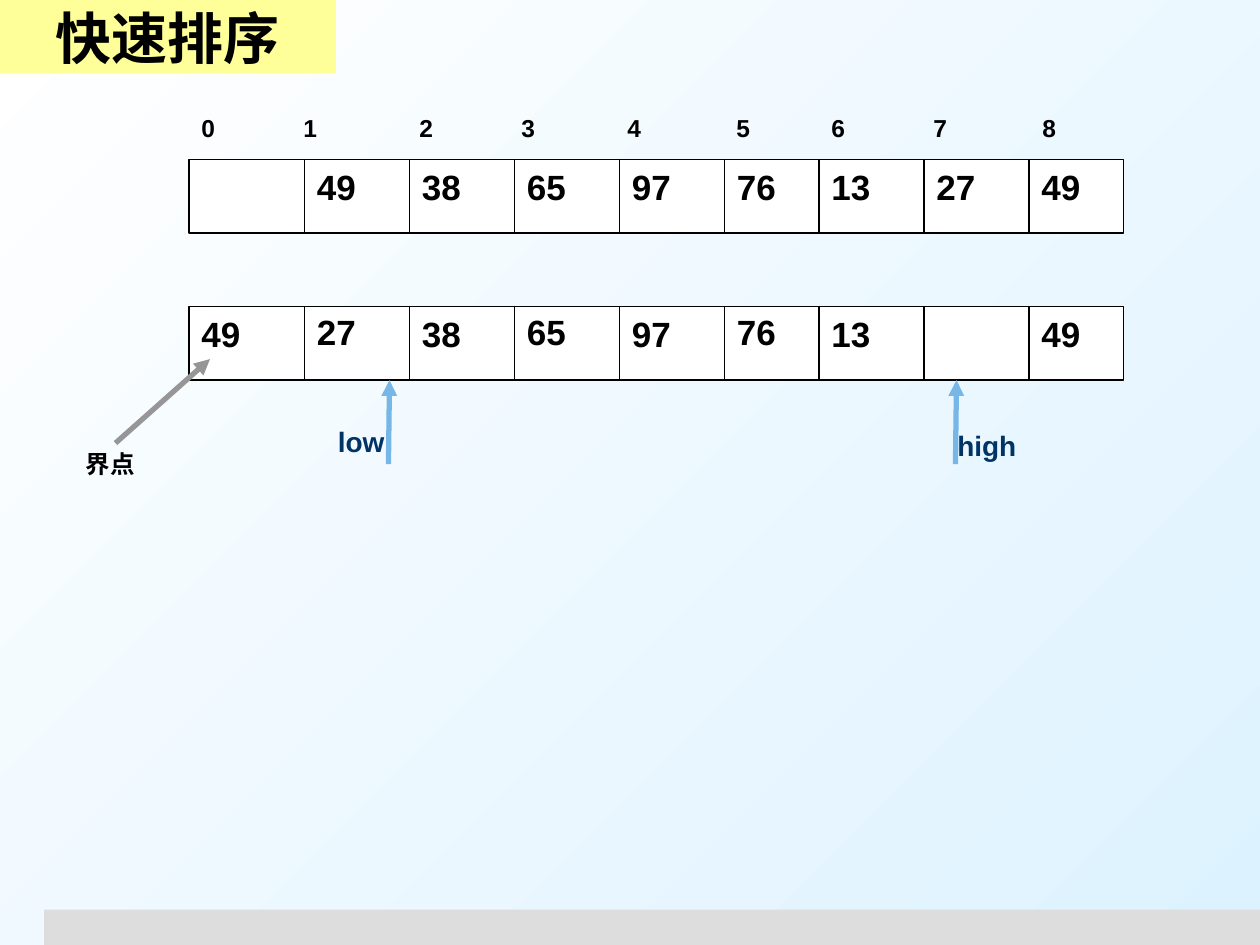
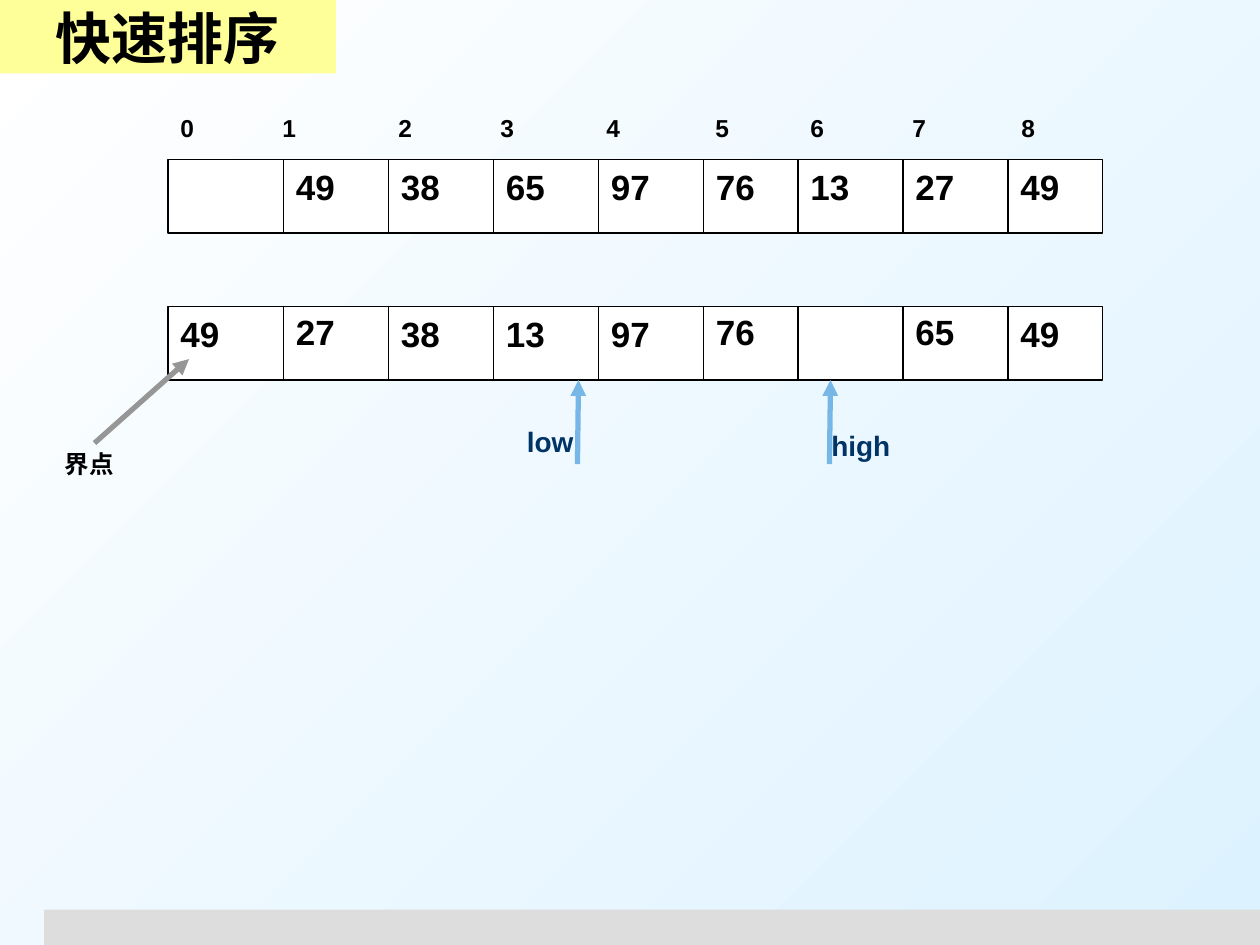
from itertools import accumulate

from lxml.etree import SubElement
from pptx import Presentation
from pptx.dml.color import RGBColor
from pptx.enum.shapes import MSO_CONNECTOR, MSO_SHAPE
from pptx.enum.text import MSO_ANCHOR, PP_ALIGN
from pptx.oxml.ns import qn
from pptx.util import Pt

FONT = "Arial"
BLACK, WHITE, NAVY = "000000", "FFFFFF", "003366"
BLUE, GREY, SILVER, YELLOW, SKY = "77B7E7", "969696", "DDDDDD", "FFFF99", "DDF2FF"

CELL_WIDTHS = [66, 60, 60, 60, 60, 54, 60, 60, 54]
CELL_LEFTS = [0, *accumulate(CELL_WIDTHS)][:-1]
ARRAY_WIDTH, ARRAY_HEIGHT = sum(CELL_WIDTHS), 42
START_TOP, STEP_TOP = 91.2, 175.2
STEP_BOTTOM = STEP_TOP + ARRAY_HEIGHT
INDEX_TABS = [58.3, 124.6, 182.9, 243.4, 305.7, 360, 418.3, 480.6]
START = ["", "49", "38", "65", "97", "76", "13", "27", "49"]
RAISED = {"27", "65", "76"}  # these sit slightly higher in the lower array

# left edge of the arrays, lower array, low index, high index
STEPS = [
    (108, ["49", "27", "38", "65", "97", "76", "13", "", "49"], 1, 7),
    (96, ["49", "27", "38", "13", "97", "76", "", "65", "49"], 3, 6),
]


def add_text(s, text, x, y, w, h, size, color=BLACK):
    tf = s.shapes.add_textbox(Pt(x), Pt(y), Pt(w), Pt(h)).text_frame
    tf.word_wrap = True
    tf.text = text
    p = tf.paragraphs[0]
    font = p.runs[0].font
    font.name, font.size, font.bold = FONT, Pt(size), True
    font.color.rgb = RGBColor.from_string(color)
    return p


def add_line(s, x1, y1, x2, y2, color=BLACK, width=0.75, arrow=False):
    line = s.shapes.add_connector(MSO_CONNECTOR.STRAIGHT, Pt(x1), Pt(y1), Pt(x2), Pt(y2))
    line.line.color.rgb = RGBColor.from_string(color)
    line.line.width = Pt(width)
    if arrow:
        SubElement(line.line._get_or_add_ln(), qn("a:tailEnd"), type="triangle")
    SubElement(line._element.spPr, qn("a:effectLst"))


prs = Presentation()
prs.slide_width, prs.slide_height = Pt(720), Pt(540)

fill = prs.slide_master.background.fill
fill.gradient()
fill.gradient_angle = 315
for stop, color in zip(fill.gradient_stops, (WHITE, SKY)):
    stop.color.rgb = RGBColor.from_string(color)

for left, step, low, high in STEPS:
    s = prs.slides.add_slide(prs.slide_layouts[6])

    # Footer band, the two arrays and the title band
    for x, y, w, h, color, outlined, text in [
        (25.2, 519.8, 694.8, 20.2, SILVER, False, ""),
        (left, STEP_TOP, ARRAY_WIDTH, ARRAY_HEIGHT, WHITE, True, ""),
        (left, START_TOP, ARRAY_WIDTH, ARRAY_HEIGHT, WHITE, True, ""),
        (0, 0, 192, 42, YELLOW, False, "快速排序"),
    ]:
        sp = s.shapes.add_shape(MSO_SHAPE.RECTANGLE, Pt(x), Pt(y), Pt(w), Pt(h))
        sp.shadow.inherit = False
        sp.fill.solid()
        sp.fill.fore_color.rgb = RGBColor.from_string(color)
        if outlined:
            sp.line.color.rgb = RGBColor.from_string(BLACK)
            sp.line.width = Pt(0.75)
        else:
            sp.line.fill.background()
        if text:
            tf = sp.text_frame
            tf.text = text
            tf.vertical_anchor = MSO_ANCHOR.MIDDLE
            p = tf.paragraphs[0]
            p.alignment = PP_ALIGN.CENTER
            font = p.runs[0].font
            font.name, font.size, font.bold = FONT, Pt(32), True
            font.color.rgb = RGBColor.from_string(BLACK)

    # Cell dividers and values
    for top, values in ((START_TOP, START), (STEP_TOP, step)):
        for offset, value in zip(CELL_LEFTS, values):
            x = left + offset
            if offset:
                add_line(s, x, top, x, top + ARRAY_HEIGHT)
            if value:
                lift = 1.2 if top == STEP_TOP and value in RAISED else 0
                add_text(s, value, x, top - lift, 48, 31, 20)

    # Indices above the arrays, set on tab stops
    p = add_text(s, "\t".join(str(i) for i in range(9)), left, 61.2, ARRAY_WIDTH, 24, 14)
    tabs = SubElement(p._p.get_or_add_pPr(), qn("a:tabLst"))
    for position in INDEX_TABS:
        SubElement(tabs, qn("a:tab"), pos=str(Pt(position)), algn="l")

    # Low and high pointers
    low_x = left + CELL_LEFTS[low] + 48
    high_x = left + CELL_LEFTS[high] + 18
    for name, x, label_x, label_y in [
        ("high", high_x, high_x - 6, 241.2),
        ("low", low_x, low_x - 36, 239),
    ]:
        add_line(s, x, STEP_BOTTOM + 48, x + 0.6, STEP_BOTTOM, BLUE, 3, arrow=True)
        add_text(s, name, label_x, label_y, 66, 26.6, 16, NAVY)

    # Pivot pointer
    add_text(s, "界点", left - 66, 253.2, 60, 24, 14)
    add_line(s, left - 42, 253.2, left + 12, 205.2, GREY, 3, arrow=True)

prs.save("out.pptx")
